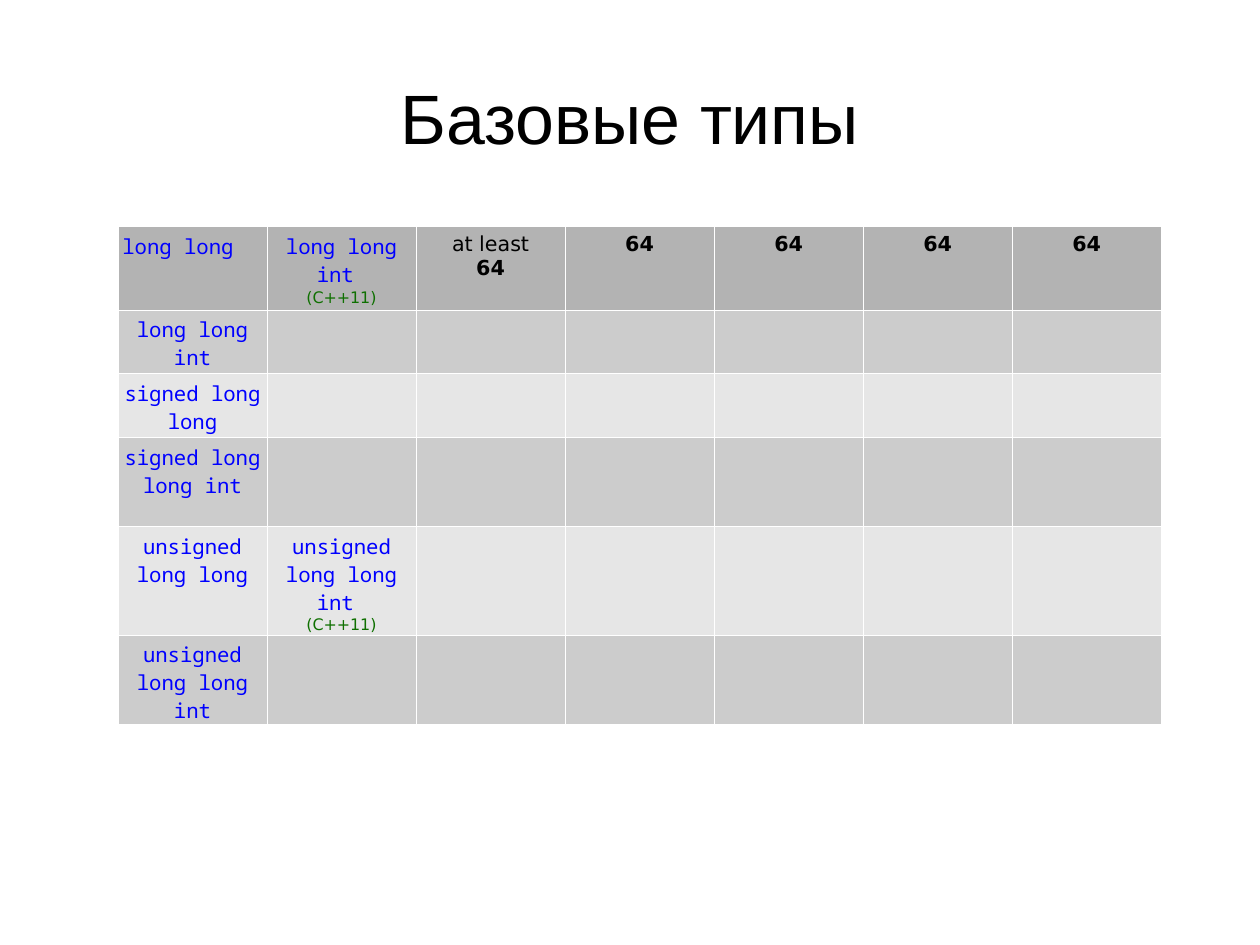
import pptx
import pptx.dml.color
import pptx.enum.text
import pptx.oxml
import pptx.oxml.ns
import pptx.util
from pptx.util import Cm

ALIGN = pptx.enum.text.PP_ALIGN
STYLES = {
    "type": ("Noto Sans Mono", 13, "0000FF", False),
    "since": ("DejaVu Sans", 10, "0F7001", False),
    "plain": ("DejaVu Sans", 13, "000000", False),
    "bits": ("DejaVu Sans", 13, "000000", True),
    "title": ("Arial", 44, "000000", False),
}
SINCE = ("(C++11)", "since")
BITS = [("64", "bits")]
ROWS = [
    (1.85, "B3B3B3", [[("long long", "type")], [("long long int ", "type"), SINCE],
                      [("at least", "plain"), *BITS], BITS, BITS, BITS, BITS]),
    (1.41, "CCCCCC", [[("long long int", "type")]]),
    (1.42, "E6E6E6", [[("signed long long", "type")]]),
    (1.98, "CCCCCC", [[("signed long long int", "type")]]),
    (2.41, "E6E6E6", [[("unsigned long long", "type")],
                      [("unsigned long long int ", "type"), SINCE]]),
    (1.98, "CCCCCC", [[("unsigned long long int", "type")]]),
]
COLUMN_COUNT = 7


def colour(value):
    """Turn a hex string into a colour."""
    return pptx.dml.color.RGBColor.from_string(value)


def write_lines(frame, lines):
    """Write one centred paragraph for each pair of text and style."""
    for index, (text, style) in enumerate(lines):
        para = frame.add_paragraph() if index else frame.paragraphs[0]
        para.text = text
        para.alignment = ALIGN.CENTER
        name, size, hue, bold = STYLES[style]
        para.font.name = name
        para.font.size = pptx.util.Pt(size)
        para.font.color.rgb = colour(hue)
        para.font.bold = bold


def add_borders(cell, hue, width):
    """Draw a line of the given width on all four sides of a cell."""
    properties = cell._tc.get_or_add_tcPr()
    namespace = pptx.oxml.ns.nsdecls("a")
    for index, side in enumerate(("lnL", "lnR", "lnT", "lnB")):
        line = pptx.oxml.parse_xml(
            f'<a:{side} {namespace} w="{pptx.util.Pt(width)}"><a:solidFill>'
            f'<a:srgbClr val="{hue}"/></a:solidFill></a:{side}>')
        properties.insert(index, line)


def add_title(slide, text, left, top, width, height):
    """Place the centred slide title in its box."""
    frame = slide.shapes.add_textbox(left, top, width, height).text_frame
    frame.word_wrap = True
    frame.vertical_anchor = pptx.enum.text.MSO_ANCHOR.MIDDLE
    frame.margin_left = frame.margin_right = 0
    frame.margin_top = frame.margin_bottom = 0
    write_lines(frame, [(text, "title")])


def add_type_table(slide, left, top, width):
    """Place the table of integer types and their sizes in bits."""
    height = Cm(sum(row[0] for row in ROWS))
    table = slide.shapes.add_table(
        len(ROWS), COLUMN_COUNT, left, top, width, height).table
    for row, (row_height, fill, entries) in zip(table.rows, ROWS):
        row.height = Cm(row_height)
        for index, cell in enumerate(row.cells):
            cell.fill.solid()
            cell.fill.fore_color.rgb = colour(fill)
            cell.margin_left = cell.margin_right = Cm(0.1)
            cell.margin_top = cell.margin_bottom = Cm(0.13)
            add_borders(cell, "FFFFFF", 0.57)
            if index < len(entries):
                write_lines(cell.text_frame, entries[index])
    table.cell(0, 0).text_frame.paragraphs[0].alignment = ALIGN.LEFT


def main():
    """Build the slide and save the deck."""
    deck = pptx.Presentation()
    deck.slide_width, deck.slide_height = Cm(28), Cm(21)
    slide = deck.slides.add_slide(deck.slide_layouts[6])
    add_title(slide, "Базовые типы", Cm(1.4), Cm(0.84), Cm(25.2), Cm(3.51))
    add_type_table(slide, Cm(2.62), Cm(5.04), Cm(23.19))
    deck.save("out.pptx")


if __name__ == "__main__":
    main()
